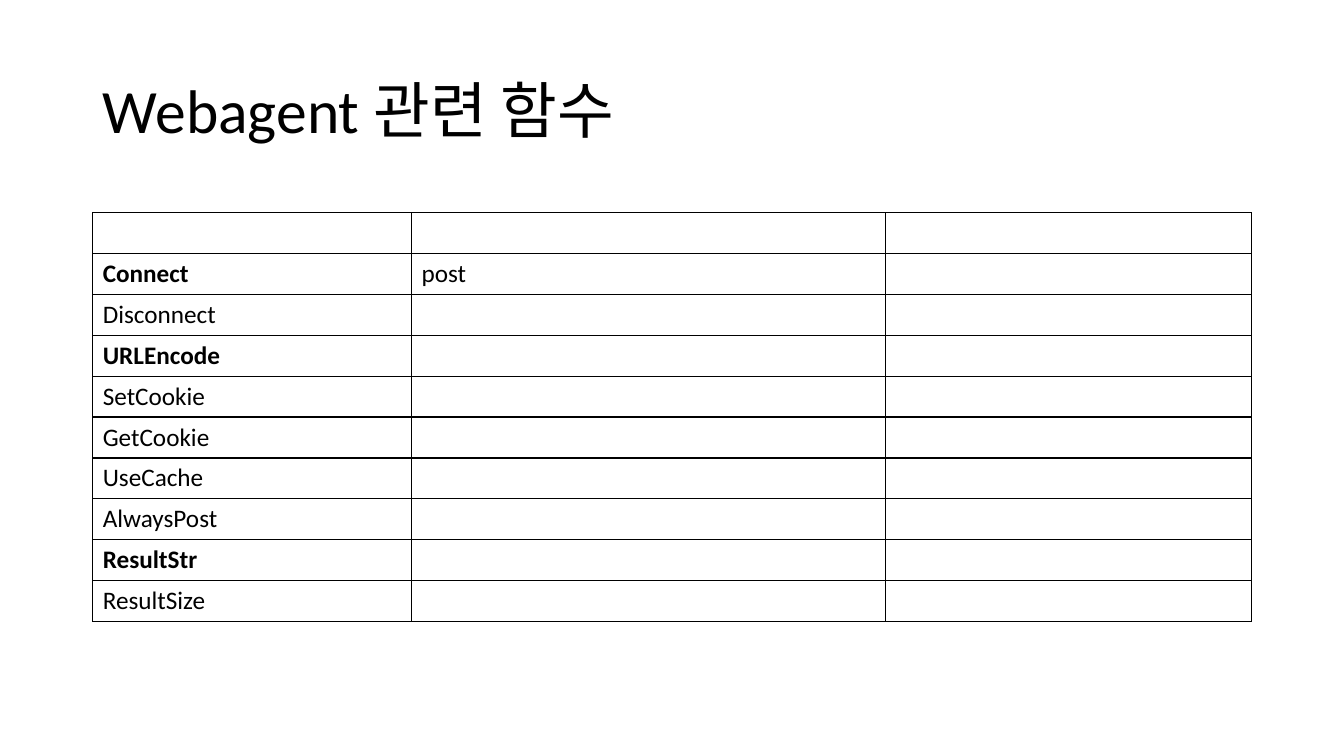
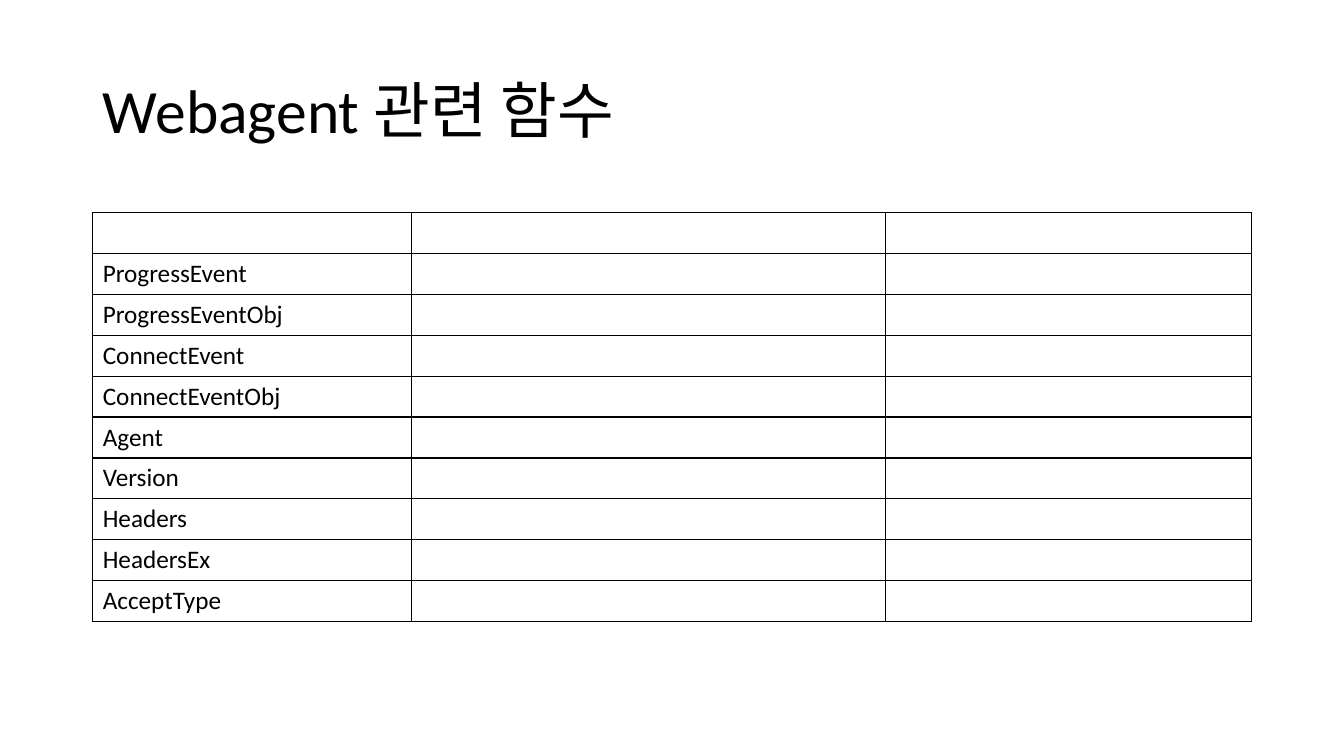
from pptx import Presentation
from pptx import util as u
from pptx.dml.color import RGBColor
from pptx.enum import text
from pptx.oxml import parse_xml
from pptx.oxml.ns import nsdecls

BLACK = RGBColor(0x00, 0x00, 0x00)
FONT = "Calibri"
HEADING = "Webagent 관련 함수"
LEFT, WIDTH = 6.9, 86.25
COLUMN_SHARES = (27.5, 40.9, 31.6)

REQUESTS = [
    (), ("Connect", "post"), ("Disconnect",), ("URLEncode",), ("SetCookie",),
    ("GetCookie",), ("UseCache",), ("AlwaysPost",), ("ResultStr",), ("ResultSize",),
]
KEY_FUNCTIONS = {"Connect", "URLEncode", "ResultStr"}
EVENTS = [
    (), ("ProgressEvent",), ("ProgressEventObj",), ("ConnectEvent",),
    ("ConnectEventObj",), ("Agent",), ("Version",), ("Headers",),
    ("HeadersEx",), ("AcceptType",),
]


def write(frame, words, size=18, bold=False, color=BLACK, spacing=None):
    """Put one formatted line of words into a text frame."""
    line = frame.paragraphs[0]
    line.alignment = text.PP_ALIGN.LEFT
    line.line_spacing = spacing
    run = line.add_run()
    run.text = words
    run.font.name, run.font.size, run.font.bold = FONT, u.Pt(size), bold
    run.font.color.rgb = color


class Deck:
    """Builds slides in one style, with lengths in percent of the slide."""

    def __init__(self):
        self.show = Presentation()
        self.show.slide_width, self.show.slide_height = u.Inches(13.33), u.Inches(7.5)
        self.slide = None

    def across(self, share):
        return round(self.show.slide_width * share / 100)

    def down(self, share):
        return round(self.show.slide_height * share / 100)

    def box(self, top, height):
        return self.across(LEFT), self.down(top), self.across(WIDTH), self.down(height)

    def add_slide(self, heading):
        self.slide = self.show.slides.add_slide(self.show.slide_layouts[5])
        title = self.slide.shapes.title
        title.left, title.top, title.width, title.height = self.box(5.33, 19.33)
        frame = title.text_frame
        frame.word_wrap = True
        frame.auto_size = text.MSO_AUTO_SIZE.NONE
        frame.vertical_anchor = text.MSO_ANCHOR.MIDDLE
        write(frame, heading, size=44, spacing=0.9)

    def add_function_table(self, functions, key_functions=()):
        grid = self.slide.shapes.add_table(
            len(functions), len(COLUMN_SHARES), *self.box(28.13, 54)).table
        grid.first_row = grid.horz_banding = False
        for column, share in zip(grid.columns, COLUMN_SHARES):
            column.width = self.across(WIDTH * share / 100)
        for cell in grid.iter_cells():
            self.outline(cell)
            cell.fill.background()
        for row, entries in enumerate(functions):
            for column, entry in enumerate(entries):
                write(grid.cell(row, column).text_frame, entry,
                      bold=entry in key_functions)

    def outline(self, cell, color=BLACK, width=1):
        properties = cell._tc.get_or_add_tcPr()
        for side in "LRTB":
            properties.append(parse_xml(
                f'<a:ln{side} {nsdecls("a")} w="{u.Pt(width)}"><a:solidFill>'
                f'<a:srgbClr val="{color}"/></a:solidFill></a:ln{side}>'))


deck = Deck()
for functions in (REQUESTS, EVENTS):
    deck.add_slide(HEADING)
    deck.add_function_table(functions, KEY_FUNCTIONS)
deck.show.save("out.pptx")
